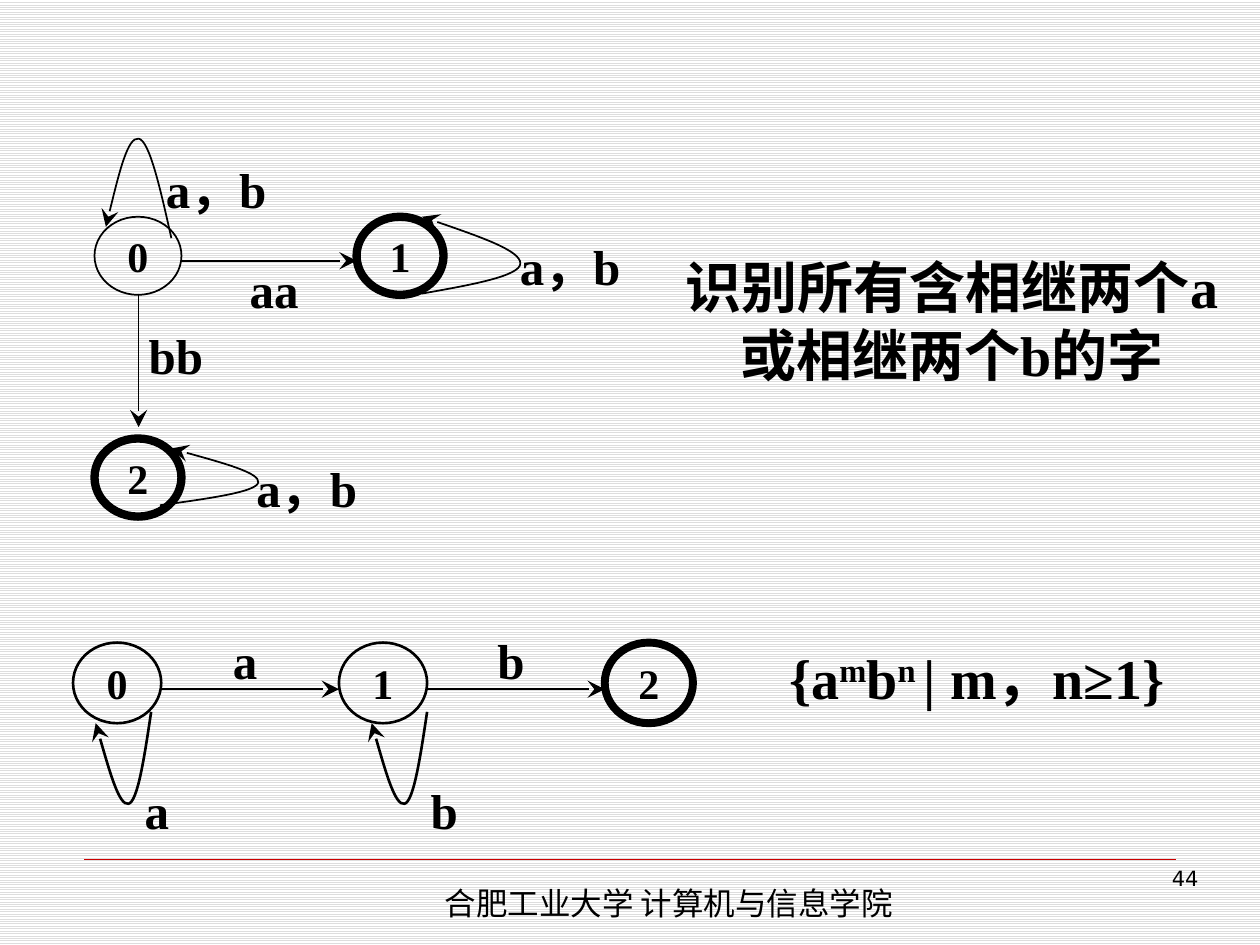
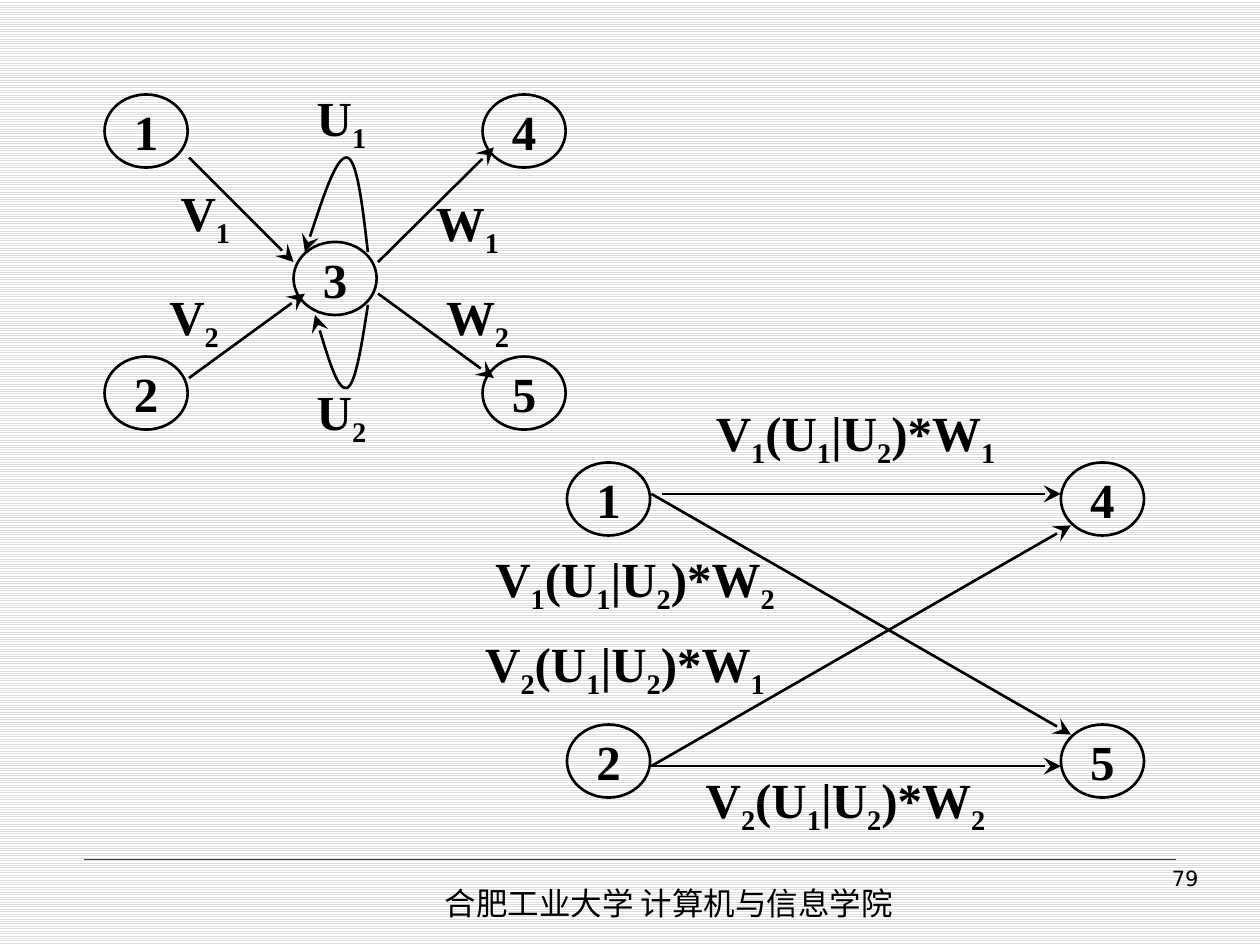
import itertools

import pptx
import pptx.dml.color
import pptx.enum.dml
import pptx.enum.shapes
import pptx.enum.text
import pptx.oxml.ns
import pptx.util

Inches = pptx.util.Inches
Pt = pptx.util.Pt
RGBColor = pptx.dml.color.RGBColor
ALIGN = pptx.enum.text.PP_ALIGN
ANCHOR = pptx.enum.text.MSO_ANCHOR
SHAPE = pptx.enum.shapes.MSO_SHAPE
STRAIGHT = pptx.enum.shapes.MSO_CONNECTOR.STRAIGHT
qn = pptx.oxml.ns.qn

BLACK = RGBColor(0x00, 0x00, 0x00)
WHITE = RGBColor(0xFF, 0xFF, 0xFF)
STRIPE = RGBColor(0xDD, 0xDD, 0xDD)
RULE = RGBColor(0xCC, 0x00, 0x00)
SERIF = "Times New Roman"
CJK = "Noto Sans CJK SC"
SANS = "DejaVu Sans"
FOOTER = "合肥工业大学 计算机与信息学院"


def write(sp, lines, size, bold=True, align=ALIGN.CENTER):
    """Fill a shape with lines, each a list of (text, font, baseline) runs."""
    tf = sp.text_frame
    tf.word_wrap = False
    tf.vertical_anchor = ANCHOR.MIDDLE
    for i, runs in enumerate(lines):
        p = tf.add_paragraph() if i else tf.paragraphs[0]
        p.alignment = align
        for text, font, baseline in runs:
            r = p.add_run()
            r.text = text
            r.font.size = Pt(size)
            r.font.bold = bold
            r.font.color.rgb = BLACK
            r.font.name = font
            rpr = r.font._element
            rpr.append(rpr.makeelement(qn("a:ea"), {"typeface": CJK}))
            if baseline:
                rpr.set("baseline", str(baseline))


def stroke(sp, weight, color=BLACK, arrow=False):
    """Draw an outline without shadow, with an arrowhead at its end if wanted."""
    sp.line.color.rgb = color
    sp.line.width = Pt(weight)
    if arrow:
        ln = sp.line._get_or_add_ln()
        head = {"type": "stealth", "w": "lg", "len": "lg"}
        ln.append(ln.makeelement(qn("a:tailEnd"), head))
    sppr = sp._element.spPr
    if sppr.find(qn("a:effectLst")) is None:
        sppr.append(sppr.makeelement(qn("a:effectLst"), {}))


# States: name, left, top, outline. Labels: text, left, top, width.
# Arrows: x1, y1, x2, y2. Loops: start, turning point, end.
two_in_a_row = dict(
    grouped=True, weight=1, state_size=24, state=(0.69, 0.62), label_height=0.62,
    states=[("0", 0.75, 1.72, 1), ("2", 0.75, 3.48, 4.75), ("1", 2.83, 1.72, 4.75)],
    labels=[("a，b", 1.24, 1.19, 0.95), ("aa", 1.7, 1.98, 0.95), ("a，b", 4.05, 1.8, 0.95),
            ("bb", 0.92, 2.51, 0.95), ("a，b", 1.96, 3.56, 0.95)],
    arrows=[(1.44, 2.07, 2.83, 2.07), (1.1, 2.33, 1.1, 3.39)],
    loops=[((1.36, 1.89), (1.1, 1.1), (0.84, 1.8)),
           ((1.27, 4.01), (2.05, 3.83), (1.36, 3.56)),
           ((3.35, 2.33), (4.13, 2.09), (3.35, 1.72))])
a_then_b = dict(
    grouped=True, weight=1.5, state_size=24, state=(0.7, 0.64), label_height=0.64,
    states=[("0", 0.58, 5.1, 1.5), ("1", 2.69, 5.1, 1.5), ("2", 4.8, 5.1, 4.5)],
    labels=[("a", 1.46, 4.92, 0.97), ("b", 3.57, 4.92, 0.97),
            ("a", 0.76, 6.11, 0.97), ("b", 3.04, 6.11, 0.97)],
    arrows=[(1.28, 5.47, 2.69, 5.47), (3.39, 5.47, 4.8, 5.47)],
    loops=[((x + 0.44, 5.65), (x + 0.26, 6.38), (x, 5.74)) for x in (0.76, 2.95)])
before_elimination = dict(
    grouped=True, weight=1.5, state_size=28, state=(0.66, 0.58), label_height=0.58,
    states=[("1", 0.83, 0.75, 1.5), ("2", 0.83, 2.83, 1.5), ("3", 2.33, 1.92, 1.5),
            ("5", 3.83, 2.83, 1.5), ("4", 3.83, 0.75, 1.5)],
    labels=[("U1", 2.25, 0.67, 0.92), ("V1", 1.17, 1.42, 0.92), ("U2", 2.25, 3, 0.92),
            ("V2", 1.08, 2.25, 0.92), ("W2", 3.33, 2.25, 0.92), ("W1", 3.25, 1.5, 0.92)],
    arrows=[(1.5, 1.25, 2.33, 2.08), (1.5, 3, 2.42, 2.33),
            (3, 2.08, 3.92, 1.17), (3, 2.33, 3.92, 3)],
    loops=[((2.92, 2), (2.75, 1.25), (2.42, 2)),
           ((2.92, 2.42), (2.75, 3.08), (2.5, 2.5))])
after_elimination = dict(
    grouped=False, weight=1.5, state_size=28, state=(0.66, 0.58), label_height=0.58,
    states=[("1", 4.5, 3.67, 1.5), ("2", 4.5, 5.75, 1.5),
            ("5", 8.42, 5.75, 1.5), ("4", 8.42, 3.67, 1.5)],
    labels=[(f"V{v}(U1|U2)*W{w}", x, y, 1.92) for v, w, x, y in (
        (1, 1, 5.83, 3.17), (1, 2, 4.08, 4.33), (2, 2, 5.75, 6.08), (2, 1, 4, 5))],
    arrows=[(5.25, 3.92, 8.42, 3.92), (5.17, 6.08, 8.42, 6.08),
            (5.17, 6.08, 8.5, 4.17), (5.17, 3.92, 8.5, 5.83)],
    loops=[])

# Captions: lines of runs, left, top, width
captions = [
    ([[("识别所有含相继两个", CJK, 0), ("a", SERIF, 0)],
      [("或相继两个", CJK, 0), ("b", SERIF, 0), ("的字", CJK, 0)]], 5.31, 2, 4.49),
    ([[("{a", SERIF, 0), ("m", SERIF, 30000), ("b", SERIF, 0),
       ("n ", SERIF, 30000), ("| m，n≥1}", SERIF, 0)]], 5.92, 4.83, 3.67),
]

pages = [("44", [two_in_a_row, a_then_b], captions),
         ("79", [before_elimination, after_elimination], [])]

prs = pptx.Presentation()
prs.slide_width = Inches(10)
prs.slide_height = Inches(7.5)

fill = prs.slide_master.background.fill
fill.patterned()
fill.pattern = pptx.enum.dml.MSO_PATTERN.LIGHT_HORIZONTAL
fill.fore_color.rgb = STRIPE
fill.back_color.rgb = WHITE

for number, diagrams, page_captions in pages:
    s = prs.slides.add_slide(prs.slide_layouts[6])

    rule = s.shapes.add_connector(STRAIGHT, Inches(0.67), Inches(6.82), Inches(9.33), Inches(6.82))
    stroke(rule, 0.25, RULE)
    for text, font, size, align, box in (
            (FOOTER, CJK, 18, ALIGN.LEFT, (3.43, 6.97, 4.72, 0.4)),
            (number, SANS, 12, ALIGN.RIGHT, (7.44, 6.82, 2.17, 0.52))):
        sp = s.shapes.add_textbox(*map(Inches, box))
        write(sp, [[(text, font, 0)]], size, False, align)
        sp.text_frame.word_wrap = True
        sp.text_frame.vertical_anchor = ANCHOR.TOP

    for d in diagrams:
        shapes = s.shapes.add_group_shape().shapes if d["grouped"] else s.shapes

        for name, x, y, weight in d["states"]:
            sp = shapes.add_shape(SHAPE.OVAL, Inches(x), Inches(y), *map(Inches, d["state"]))
            sp.fill.background()
            stroke(sp, weight)
            write(sp, [[(name, SERIF, 0)]], d["state_size"])

        # Labels are plain rectangles, so that long text may run past their sides
        for text, x, y, width in d["labels"]:
            box = map(Inches, (x, y, width, d["label_height"]))
            sp = shapes.add_shape(SHAPE.RECTANGLE, *box)
            sp.fill.background()
            sp.line.fill.background()
            sp.shadow.inherit = False
            runs = [("".join(part), SERIF, -25000 if is_index else 0)
                    for is_index, part in itertools.groupby(text, str.isdigit)]
            write(sp, [runs], 28)

        for ends in d["arrows"]:
            stroke(shapes.add_connector(STRAIGHT, *map(Inches, ends)), d["weight"], arrow=True)

        for (x1, y1), (xm, ym), (x2, y2) in d["loops"]:
            # The tangent at the turning point runs parallel to start-end
            dx, dy = (x2 - x1) / 6, (y2 - y1) / 6
            before, after = (xm - dx, ym - dy), (xm + dx, ym + dy)
            points = [((x1 + before[0]) / 2, (y1 + before[1]) / 2), before, (xm, ym),
                      after, ((after[0] + x2) / 2, (after[1] + y2) / 2), (x2, y2)]
            builder = shapes.build_freeform(Inches(x1), Inches(y1))
            builder.add_line_segments([(Inches(x), Inches(y)) for x, y in points], close=False)
            sp = builder.convert_to_shape()
            # Turn each three segments into one Bézier curve
            segments = list(sp._element.iter(qn("a:lnTo")))
            for i in range(0, len(segments), 3):
                curve = segments[i].makeelement(qn("a:cubicBezTo"), {})
                segments[i].addprevious(curve)
                for segment in segments[i:i + 3]:
                    curve.append(segment[0])
                    segment.getparent().remove(segment)
            sp.fill.background()
            stroke(sp, d["weight"], arrow=True)

    for lines, x, y, width in page_captions:
        sp = s.shapes.add_shape(SHAPE.RECTANGLE, *map(Inches, (x, y, width, 1.08)))
        sp.fill.background()
        sp.line.fill.background()
        sp.shadow.inherit = False
        write(sp, lines, 32)

prs.save("out.pptx")
